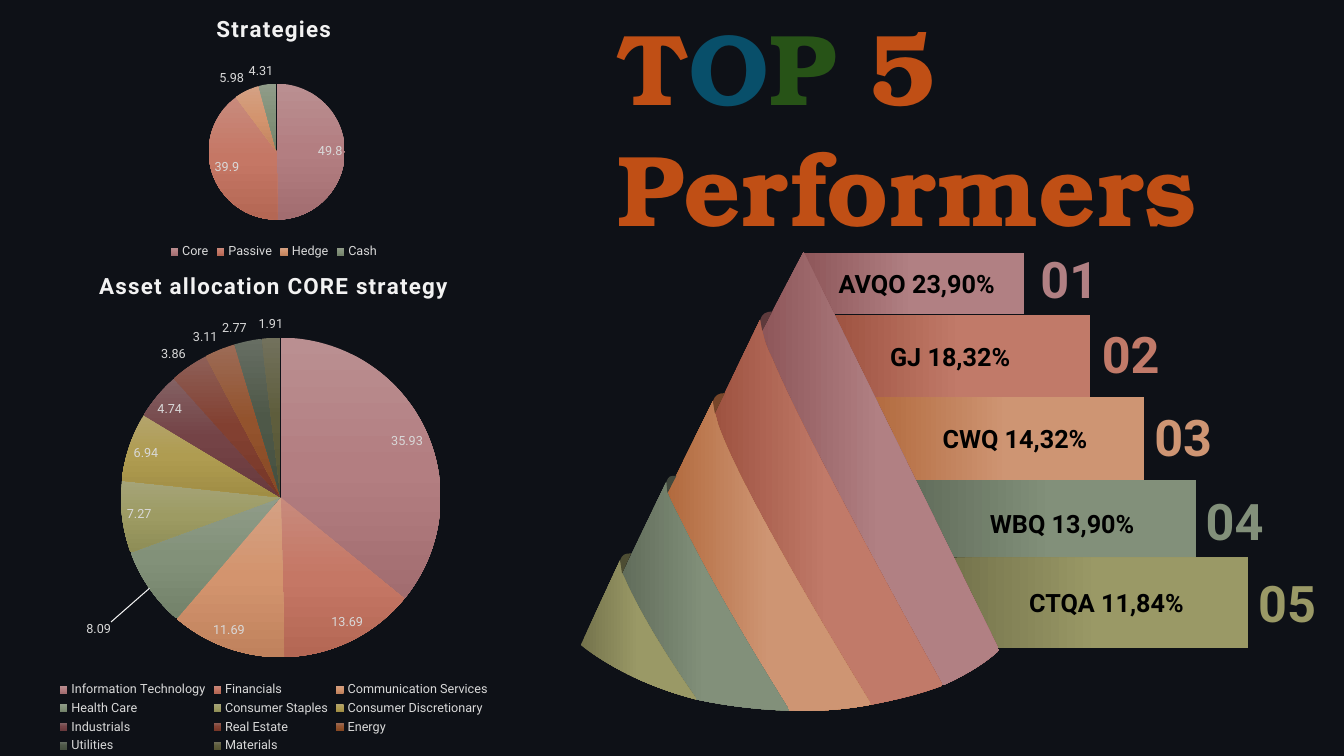
from copy import deepcopy

from lxml import etree
from pptx import Presentation
from pptx.chart.data import CategoryChartData
from pptx.dml.color import RGBColor
from pptx.enum.chart import XL_CHART_TYPE, XL_LABEL_POSITION, XL_LEGEND_POSITION
from pptx.enum.shapes import MSO_SHAPE
from pptx.oxml import parse_xml
from pptx.oxml.ns import nsdecls, qn
from pptx.util import Pt

PX = 9144  # EMU per px, 100 px to the inch
FONT = "Roboto"
TITLE_FONT = "TeX Gyre Bonum"

BACKGROUND = RGBColor(0xF4, 0xE9, 0xE6)
PANEL = RGBColor(0x0E, 0x11, 0x17)
PANEL_LINE = RGBColor(0x83, 0x5F, 0x61)
BLACK = RGBColor(0, 0, 0)
CHART_TITLE = RGBColor(0xF2, 0xF2, 0xF2)
CHART_TEXT = RGBColor(0xD9, 0xD9, 0xD9)
ORANGE = RGBColor(0xC0, 0x4F, 0x15)
BLUE = RGBColor(0x08, 0x4F, 0x6A)
GREEN = RGBColor(0x27, 0x53, 0x17)

# Light, middle and dark stop of each pie slice
SLICE_COLORS = [[RGBColor.from_string(code) for code in row.split()] for row in (
    "BA8F91 B37E81 A26D70", "C88A7C C57765 B46754", "D4A184 D3946E C0825D",
    "909C89 829179 73826A", "A5A479 9D9B63 8E8D56", "B4A46C AF9C51 A08D44",
    "836163 744346 693A3D", "8E5F57 824031 773728", "9C6B56 93532D 874924",
    "676E63 4E5848 454F3F", "72715C 5E5D3C 555433")]

# Dark and light stop of each performer
RANK_COLORS = [[RGBColor.from_string(code) for code in row.split()] for row in (
    "8E575A B18083", "9E5341 C17A69", "B26A3E CE9573", "616D5B 82907A", "74734C 9A9966")]
FOLD_COLORS = [RGBColor.from_string(code) for code in ("5E3A3C", "77462A", "41483D", "4D4D33")]

# Label, its left and top; number left and top; banner left, right and top
PERFORMERS = [
    ("AVQO 23,90%", 822, 261, 1022, 241, 797, 1016, 251),
    ("GJ 18,32%", 873, 334, 1083, 316, 826, 1081, 312),
    ("CWQ 14,32%", 925, 415, 1135, 398, 863, 1135, 394),
    ("WBQ 13,90%", 972, 499, 1186, 481, 903, 1186, 476),
    ("CTQA 11,84%", 1011, 578, 1238, 563, 941, 1238, 553)]
BANNER_END = (984, 643)

# Edges between strips: a start point, then Bezier segments of three points
SEAMS = [
    [(797, 250), (797, 250), (991, 645), (991, 645)],
    [(756, 328), (757, 332), (758, 338), (761, 345), (762, 348), (764, 352), (766, 356),
     (788, 409), (845, 517), (935, 680)],
    [(709, 410), (710, 413), (711, 417), (712, 421), (727, 464), (777, 556), (864, 699)],
    [(662, 489), (666, 499), (672, 510), (678, 522), (700, 567), (735, 628), (783, 705)],
    [(617, 569), (619, 573), (621, 577), (623, 582), (640, 617), (663, 654), (691, 694)],
    [(576, 640)]]
STRIP_TIPS = [(797, 250), (754, 317), (707, 398), (661, 478), (615, 556)]
FOLD_TOPS = [(766, 309), (719, 390), (671, 472), (626, 549)]
BASE_CONTROLS = [
    [(976, 659), (957, 670)], [(914, 688), (890, 694)], [(838, 704), (810, 706)],
    [(750, 704), (719, 700)], [(648, 683), (609, 665)]]


def fill_gradient(fill, colors, positions, angle):
    fill.gradient()
    fill.gradient_angle = angle
    first_stop = fill.gradient_stops[0]._gs
    while len(fill.gradient_stops) < len(colors):
        first_stop.addnext(deepcopy(first_stop))
    for stop, color, position in zip(fill.gradient_stops, colors, positions):
        stop.color.rgb = color
        stop.position = position


def add_outline(slide, points, curved=False):
    """Add a closed shape; if curved, points after the second form Bezier segments."""
    points = [(x * PX, y * PX) for x, y in points]
    builder = slide.shapes.build_freeform(*points[0], scale=1.0)
    builder.add_line_segments(points[1:], close=True)
    shape = builder.convert_to_shape()
    shape.shadow.inherit = False
    shape.line.fill.background()
    if curved:
        segments = list(shape._element.iter(qn("a:lnTo")))[1:]
        for index in range(0, len(segments), 3):
            curve = etree.Element(qn("a:cubicBezTo"))
            segments[index].addprevious(curve)
            for segment in segments[index:index + 3]:
                curve.append(segment[0])
                segment.getparent().remove(segment)
    return shape


def add_text(slide, left, top, width, height, runs, size, font=FONT, wrap=True):
    """Add a bold one-paragraph text box; runs are (text, color) pairs."""
    box = slide.shapes.add_textbox(left * PX, top * PX, width * PX, height * PX)
    box.text_frame.word_wrap = wrap
    for text, color in runs:
        run = box.text_frame.paragraphs[0].add_run()
        run.text = text
        run.font.name, run.font.size, run.font.bold = font, Pt(size), True
        run.font.color.rgb = color


def style_font(font, size, color):
    font.name, font.size = FONT, Pt(size)
    font.color.rgb = color


def manual_layout(**settings):
    layout = etree.Element(qn("c:layout"))
    manual = etree.SubElement(layout, qn("c:manualLayout"))
    for tag, value in settings.items():
        etree.SubElement(manual, qn(f"c:{tag}")).set("val", str(value))
    return layout


def add_pie(slide, title, top, height, values, pie):
    """Add a pie chart; pie is the left, top and diameter of the circle on the slide."""
    left, width = -6, 555
    data = CategoryChartData()
    data.categories = list(values)
    data.add_series(title, values.values())
    chart = slide.shapes.add_chart(
        XL_CHART_TYPE.PIE, left * PX, top * PX, width * PX, height * PX, data).chart
    style_font(chart.font, 10, BLACK)
    chart.has_title = True
    chart.chart_title.text_frame.text = title
    run = chart.chart_title.text_frame.paragraphs[0].runs[0]
    style_font(run.font, 16, CHART_TITLE)
    run.font.bold = True
    run._r.get_or_add_rPr().set("spc", "100")
    chart.has_legend = True
    chart.legend.position = XL_LEGEND_POSITION.BOTTOM
    chart.legend.include_in_layout = False
    style_font(chart.legend.font, 9, CHART_TEXT)

    plot = chart.plots[0]
    plot.vary_by_categories = True
    series = plot.series[0]
    labels = series.data_labels
    labels.show_value, labels.show_percentage = True, False
    labels.position = XL_LABEL_POSITION.BEST_FIT
    style_font(labels.font, 9, CHART_TEXT)
    for index, colors in enumerate(SLICE_COLORS[:len(values)]):
        fill_gradient(series.points[index].format.fill, colors, (0, 0.5, 1), 270)

    area = chart._chartSpace.chart.plotArea
    for old_layout in area.findall(qn("c:layout")):
        area.remove(old_layout)
    pie_left, pie_top, diameter = pie
    area.insert(0, manual_layout(
        layoutTarget="inner", xMode="edge", yMode="edge",
        x=(pie_left - left) / width, y=(pie_top - top) / height,
        w=diameter / width, h=diameter / height))
    chart._chartSpace.chart.addnext(parse_xml(
        f'<c:spPr {nsdecls("c", "a")}><a:solidFill><a:srgbClr val="{PANEL}"/></a:solidFill>'
        '<a:ln><a:noFill/></a:ln></c:spPr>'))
    return chart


def move_label(chart, index, x, y):
    """Shift one slice label by fractions of the chart size and link it by a line."""
    series = chart.plots[0].series[0]
    label = series.points[index].data_label
    label.position = XL_LABEL_POSITION.BEST_FIT
    style_font(label.font, 9, CHART_TEXT)
    labels = series.data_labels._element
    labels.find(qn("c:dLbl")).find(qn("c:idx")).addnext(manual_layout(x=x, y=y))
    for old_switch in labels.findall(qn("c:showLeaderLines")):
        labels.remove(old_switch)
    etree.SubElement(labels, qn("c:showLeaderLines")).set("val", "1")
    labels.append(parse_xml(
        f'<c:leaderLines {nsdecls("c", "a")}><c:spPr><a:ln w="9525"><a:solidFill>'
        f'<a:srgbClr val="{CHART_TITLE}"/></a:solidFill></a:ln></c:spPr></c:leaderLines>'))


def add_banners(slide):
    ends = [(row[5], row[7]) for row in PERFORMERS[1:]] + [BANNER_END]
    for row, (end_left, bottom), colors in zip(PERFORMERS, ends, RANK_COLORS):
        left, right, top = row[5:]
        banner = add_outline(slide, [(left, top), (right, top), (right, bottom), (end_left, bottom)])
        fill_gradient(banner.fill, colors, (0, 0.5), 0)


def add_cone(slide):
    for index, (tip, controls) in enumerate(zip(STRIP_TIPS, BASE_CONTROLS)):
        right, left = SEAMS[index], SEAMS[index + 1]
        strip = add_outline(slide, [tip, *right, *controls, *reversed(left)], curved=True)
        fill_gradient(strip.fill, RANK_COLORS[index], (0, 0.5), 0)
    for seam, (x, y), top, color in zip(SEAMS[1:], STRIP_TIPS[1:], FOLD_TOPS, FOLD_COLORS):
        bend = [(x, y), (x + 2, y - 6), (top[0] - 6, top[1]), top]
        fold = add_outline(slide, [seam[0], *bend], curved=True)
        fold.fill.solid()
        fold.fill.fore_color.rgb = color


def main():
    presentation = Presentation()
    presentation.slide_width, presentation.slide_height = 1333 * PX, 750 * PX
    slide = presentation.slides.add_slide(presentation.slide_layouts[6])
    slide.background.fill.solid()
    slide.background.fill.fore_color.rgb = BACKGROUND
    panel = slide.shapes.add_shape(MSO_SHAPE.RECTANGLE, 547 * PX, -PX, 795 * PX, 752 * PX)
    panel.shadow.inherit = False
    panel.fill.solid()
    panel.fill.fore_color.rgb = PANEL
    panel.line.color.rgb = PANEL_LINE
    panel.line.width = Pt(1)

    allocation = add_pie(slide, "Asset allocation CORE strategy", 250, 501, {
        "Information Technology": 35.93, "Financials": 13.69, "Communication Services": 11.69,
        "Health Care": 8.09, "Consumer Staples": 7.27, "Consumer Discretionary": 6.94,
        "Industrials": 4.74, "Real Estate": 3.86, "Energy": 3.11, "Utilities": 2.77,
        "Materials": 1.91}, (120, 335, 317))
    move_label(allocation, 3, -0.06, 0.06)
    add_banners(slide)
    add_cone(slide)
    for rank, (row, colors) in enumerate(zip(PERFORMERS, RANK_COLORS), 1):
        label, left, top, number_left, number_top = row[:5]
        add_text(slide, number_left, number_top, 122, 71, [(f"{rank:02}", colors[1])], 36)
        add_text(slide, left, top, 180, 40, [(label, BLACK)], 18, wrap=False)
    add_pie(slide, "Strategies", 0, 261,
            {"Core": 49.8, "Passive": 39.9, "Hedge": 5.98, "Cash": 4.31}, (207, 83, 135))
    add_text(slide, 603, 0, 714, 252,
             [("T", ORANGE), ("O", BLUE), ("P ", GREEN), ("5 Performers", ORANGE)],
             72, TITLE_FONT)
    presentation.save("out.pptx")


if __name__ == "__main__":
    main()
